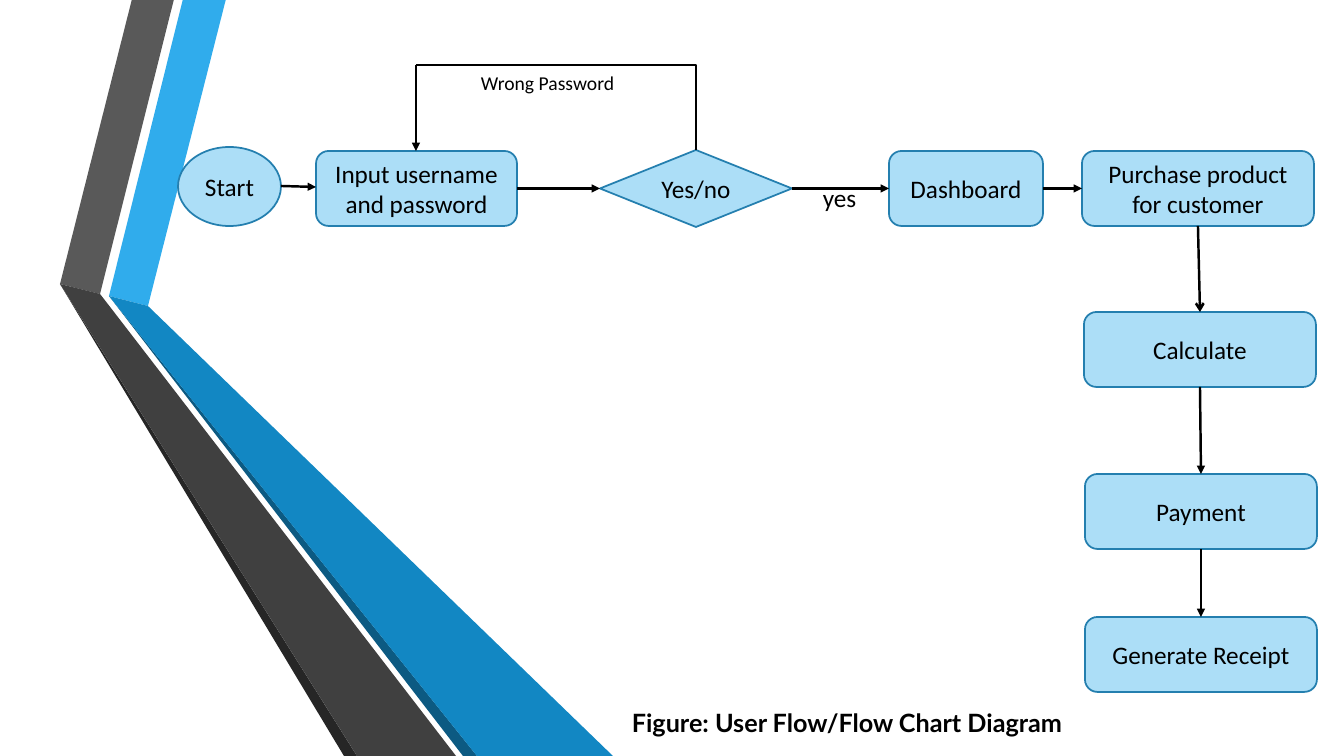
import pptx
import pptx.util
import pptx.dml.color
import pptx.enum.shapes
import pptx.enum.text
import pptx.oxml
import pptx.oxml.ns

SCALE = 914400 / 100.8
FONT = "Calibri"
COLORS = {
    "sky": "30ACEC",
    "gray": "595959",
    "charcoal": "262626",
    "navy": "0C5A82",
    "blue": "1287C3",
    "slate": "404040",
    "node": "ACDEF7",
    "outline": "247FAF",
    "ink": "000000",
}
RIBBONS = [
    ("sky", [(109, 296), (148, 306), (226, -1), (183, -1)]),
    ("gray", [(100, 294), (174, -1), (132, -1), (60, 284)]),
    ("charcoal", [(60, 284), (344, 756), (357, 756)]),
    ("navy", [(477, 756), (109, 296), (463, 756)]),
    ("blue", [(109, 296), (477, 756), (613, 756), (148, 306)]),
    ("slate", [(456, 756), (107, 303), (100, 294), (60, 284), (357, 756)]),
]
SHAPES = pptx.enum.shapes.MSO_SHAPE
ROUNDED = SHAPES.ROUNDED_RECTANGLE
TOP, LEFT, BOTTOM, RIGHT = range(4)
NODES = [
    ("Input username and password", ROUNDED, 316, 151, 201, 75),
    ("Dashboard", ROUNDED, 889, 151, 154, 75),
    ("Purchase product for customer", ROUNDED, 1082, 151, 232, 75),
    ("Start", SHAPES.OVAL, 178, 147, 103, 79),
    ("Calculate", ROUNDED, 1084, 312, 232, 75),
    ("Payment", ROUNDED, 1085, 474, 232, 75),
    ("Generate Receipt", ROUNDED, 1085, 617, 232, 75),
    ("Yes/no", SHAPES.DIAMOND, 600, 150, 192, 77),
]
LINKS = [
    ("Input username and password", RIGHT, "Yes/no", LEFT, "triangle"),
    ("Yes/no", RIGHT, "Dashboard", LEFT, "triangle"),
    ("Dashboard", RIGHT, "Purchase product for customer", LEFT, "triangle"),
    ("Purchase product for customer", BOTTOM, "Calculate", TOP, "arrow"),
    ("Calculate", BOTTOM, "Payment", TOP, "triangle"),
    ("Payment", BOTTOM, "Generate Receipt", TOP, "triangle"),
]


def px(length):
    return pptx.util.Emu(round(length * SCALE))


def color(name):
    return pptx.dml.color.RGBColor.from_string(COLORS[name])


def write(shape, text, size=18, font=FONT, bold=False, align=None):
    shape.text_frame.text = text
    para = shape.text_frame.paragraphs[0]
    para.alignment = align
    for span in para.runs:
        span.font.size = pptx.util.Pt(size)
        span.font.name = font
        span.font.bold = bold
        span.font.color.rgb = color("ink")


def add_ribbon(page, fill, points):
    builder = page.shapes.build_freeform(*points[0], scale=SCALE)
    builder.add_line_segments(points[1:], close=True)
    ribbon = builder.convert_to_shape()
    ribbon.shadow.inherit = False
    ribbon.fill.solid()
    ribbon.fill.fore_color.rgb = color(fill)
    ribbon.line.fill.background()


def add_node(page, text, kind, *place):
    node = page.shapes.add_shape(kind, *map(px, place))
    node.shadow.inherit = False
    node.fill.solid()
    node.fill.fore_color.rgb = color("node")
    node.line.color.rgb = color("outline")
    node.line.width = pptx.util.Pt(1.25)
    node.text_frame.word_wrap = True
    node.text_frame.vertical_anchor = pptx.enum.text.MSO_ANCHOR.MIDDLE
    write(node, text, align=pptx.enum.text.PP_ALIGN.CENTER)
    return node


def add_line(page, start, end, head=None, bent=False):
    kinds = pptx.enum.shapes.MSO_CONNECTOR
    kind = kinds.ELBOW if bent else kinds.STRAIGHT
    line = page.shapes.add_connector(kind, *map(px, start + end))
    line.line.color.rgb = color("ink")
    line.line.width = pptx.util.Pt(1.75)
    properties = line._element.spPr
    if bent:
        properties.find(pptx.oxml.ns.qn("a:prstGeom")).set("prst", "bentConnector2")
    if head:
        namespace = pptx.oxml.ns.nsdecls("a")
        tail = pptx.oxml.parse_xml(f'<a:tailEnd {namespace} type="{head}"/>')
        line.line._get_or_add_ln().append(tail)
    effects = pptx.oxml.parse_xml(f'<a:effectLst {pptx.oxml.ns.nsdecls("a")}/>')
    properties.append(effects)
    return line


def add_link(page, source, source_side, target, target_side, head):
    line = add_line(page, (0, 0), (0, 0), head)
    line.begin_connect(source, source_side)
    line.end_connect(target, target_side)


def add_label(page, text, place, wrap=True, **style):
    box = page.shapes.add_textbox(*map(px, place))
    box.text_frame.word_wrap = wrap
    box.text_frame.auto_size = pptx.enum.text.MSO_AUTO_SIZE.SHAPE_TO_FIT_TEXT
    write(box, text, **style)


def main():
    deck = pptx.Presentation()
    deck.slide_width, deck.slide_height = px(1344), px(756)
    page = deck.slides.add_slide(deck.slide_layouts[6])
    for fill, points in RIBBONS:
        add_ribbon(page, fill, points)
    nodes = {node[0]: add_node(page, *node) for node in NODES}
    for source, source_side, target, target_side, head in LINKS:
        add_link(page, nodes[source], source_side, nodes[target], target_side, head)
    add_line(page, (281, 186), (316, 187), "triangle")
    add_line(page, (416, 65), (696, 150), bent=True)
    add_line(page, (416, 65), (416, 151), "triangle")
    add_label(page, "yes", (813, 177, 54, 40), wrap=False)
    add_label(page, "Figure: User Flow/Flow Chart Diagram", (622, 702, 534, 40),
              font="Lato", bold=True)
    add_label(page, "Wrong Password", (471, 66, 158, 34), size=14)
    deck.save("out.pptx")


main()
